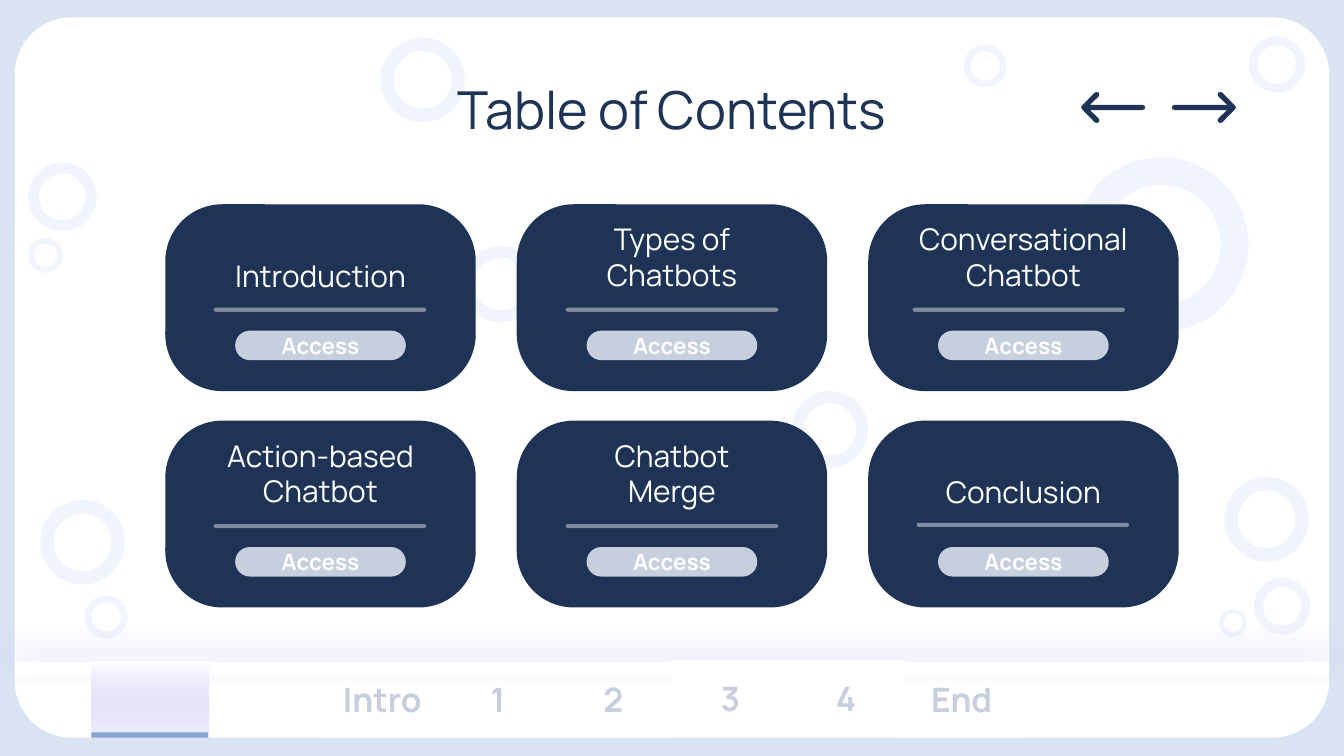
"""Build a table of contents slide with six cards and a tab bar."""
from lxml.etree import SubElement
from pptx import Presentation
from pptx.dml.color import RGBColor
from pptx.enum.shapes import MSO_CONNECTOR, MSO_SHAPE
from pptx.enum.text import MSO_ANCHOR, PP_ALIGN
from pptx.oxml import parse_xml
from pptx.oxml.ns import nsdecls, qn
from pptx.util import Inches, Pt

NAVY = RGBColor(0x1E, 0x33, 0x55)
WHITE = RGBColor(0xFF, 0xFF, 0xFF)
SKY = RGBColor(0xDA, 0xE3, 0xF2)
PALE = RGBColor(0xF0, 0xF5, 0xFD)
GREY = RGBColor(0xC7, 0xCE, 0xDE)
BLUE = RGBColor(0x85, 0xA3, 0xD4)
LILAC = RGBColor(0xAA, 0x9E, 0xEE)

deck = Presentation()
deck.slide_width = Inches(10)
deck.slide_height = deck.slide_width * 9 // 16
slide = deck.slides.add_slide(deck.slide_layouts[6])
slide.background.fill.solid()
slide.background.fill.fore_color.rgb = SKY
shapes = slide.shapes


def draw(kind, x, y, w, h, color, adj=None):
    """Add a plain filled shape."""
    shape = shapes.add_shape(kind, Inches(x), Inches(y), Inches(w), Inches(h))
    shape.shadow.inherit = False
    shape.fill.solid()
    shape.fill.fore_color.rgb = color
    shape.line.fill.background()
    if adj is not None:
        shape.adjustments[0] = adj
    return shape


def write(shape, text, size, color=WHITE, bold=False, top=0.1, anchor=MSO_ANCHOR.MIDDLE):
    """Put centred text in a shape."""
    frame = shape.text_frame
    frame.word_wrap = True
    frame.vertical_anchor = anchor
    frame.margin_left = frame.margin_right = frame.margin_bottom = Inches(0.1)
    frame.margin_top = Inches(top)
    frame.text = text
    for para in frame.paragraphs:
        para.alignment = PP_ALIGN.CENTER
        font = para.runs[0].font
        font.name, font.size, font.bold = "Manrope", Pt(size), bold
        font.color.rgb = color


draw(MSO_SHAPE.ROUNDED_RECTANGLE, 0.11, 0.13, 9.78, 5.36, WHITE, 0.079)

rings = [
    (0.21, 1.21, 0.51), (9.07, 4.53, 0.21), (9.29, 0.27, 0.42), (0.21, 1.77, 0.26),
    (9.33, 4.3, 0.42), (7.99, 1.17, 1.3), (9.11, 3.55, 0.63), (0.63, 4.43, 0.32),
    (2.83, 0.28, 0.63), (0.3, 3.72, 0.63), (5.89, 2.91, 0.57), (3.44, 1.83, 0.57),
    (7.17, 0.33, 0.32),
]
for x, y, size in rings:
    draw(MSO_SHAPE.DONUT, x, y, size, size, PALE, 0.159)

tabs = [
    ("Intro", 2.41, 4.92), ("1", 3.27, 4.92), ("2", 4.13, 4.92), ("End", 6.72, 4.92),
    ("3", 5, 4.91), ("4", 5.86, 4.91),
]
for label, x, y in tabs:
    if label == "3":
        edge = shapes.add_connector(
            MSO_CONNECTOR.STRAIGHT, Inches(9.89), Inches(4.93), Inches(0.11), Inches(4.93))
        edge.line.color.rgb = WHITE
        edge.line.width = Pt(0.75)
        edge.element.spPr.append(parse_xml(
            f'<a:effectLst {nsdecls("a")}><a:outerShdw blurRad="{Pt(15.8)}" '
            f'dist="{Pt(4.5)}" dir="{264 * 60000}" algn="bl" rotWithShape="0">'
            '<a:srgbClr val="7966E4"/></a:outerShdw></a:effectLst>'))
        draw(MSO_SHAPE.RECTANGLE, 0.11, 4.93, 9.78, 0.09, WHITE)
    tab = draw(MSO_SHAPE.RECTANGLE, x, y, 0.87, 0.57, WHITE)
    write(tab, label, 18, color=GREY, bold=True)

glow = draw(MSO_SHAPE.RECTANGLE, 0.68, 4.92, 0.87, 0.57, WHITE)
glow.fill.gradient()
glow.fill.gradient_angle = 90
for stop, color, place in zip(glow.fill.gradient_stops, (LILAC, WHITE), (0, 1)):
    stop.color.rgb, stop.position = color, place
first = next(glow.element.spPr.iter(qn("a:srgbClr")))
SubElement(first, qn("a:alpha")).set("val", "13000")
draw(MSO_SHAPE.RECTANGLE, 0.68, 5.45, 0.87, 0.04, BLUE)

title = shapes.add_textbox(Inches(0.78), Inches(0.49), Inches(8.44), Inches(0.63))
write(title, "Table of Contents", 28, color=NAVY)

points = [
    (9080, 685), (9065, 690), (9060, 705), (9067, 720), (9130, 780), (8740, 780),
    (8725, 787), (8720, 800), (8725, 813), (8740, 820), (9130, 820), (9067, 880),
    (9060, 895), (9065, 910), (9080, 915), (9095, 910), (9190, 812), (9195, 800),
    (9190, 788), (9095, 690),
]
for flip in (False, True):
    spots = [(17240 - x if flip else x, y) for x, y in points]
    pen = shapes.build_freeform(*spots[0], scale=Inches(1) / 1000)
    pen.add_line_segments(spots[1:], close=True)
    arrow = pen.convert_to_shape()
    arrow.shadow.inherit = False
    arrow.fill.solid()
    arrow.fill.fore_color.rgb = NAVY
    arrow.line.fill.background()

cards = [
    ("Introduction", 1.59, 2.29), ("Types of\nChatbots", 4.21, 2.29),
    ("Conversational Chatbot", 6.79, 2.29), ("Action-based Chatbot", 1.59, 3.9),
    ("Chatbot\nMerge", 4.21, 3.9), ("Conclusion", 6.82, 3.89),
]
for i, (name, left, level) in enumerate(cards):
    row, col = divmod(i, 3)
    x, y = 1.23 + 2.615 * col, 1.52 + 1.61 * row
    card = draw(MSO_SHAPE.ROUNDED_RECTANGLE, x, y, 2.31, 1.39, NAVY, 0.305)
    top = 0 if " " in name or "\n" in name else 0.27
    write(card, name, 16, top=top, anchor=MSO_ANCHOR.TOP)
    rule = draw(MSO_SHAPE.ROUNDED_RECTANGLE, left, level, 1.58, 0.03, WHITE, 0.5)
    tint = next(rule.element.spPr.iter(qn("a:srgbClr")))
    SubElement(tint, qn("a:alpha")).set("val", "43000")
    button = draw(MSO_SHAPE.ROUNDED_RECTANGLE, x + 0.52, y + 0.94, 1.27, 0.22, GREY, 0.5)
    write(button, "Access", 12, bold=True)

deck.save("out.pptx")
